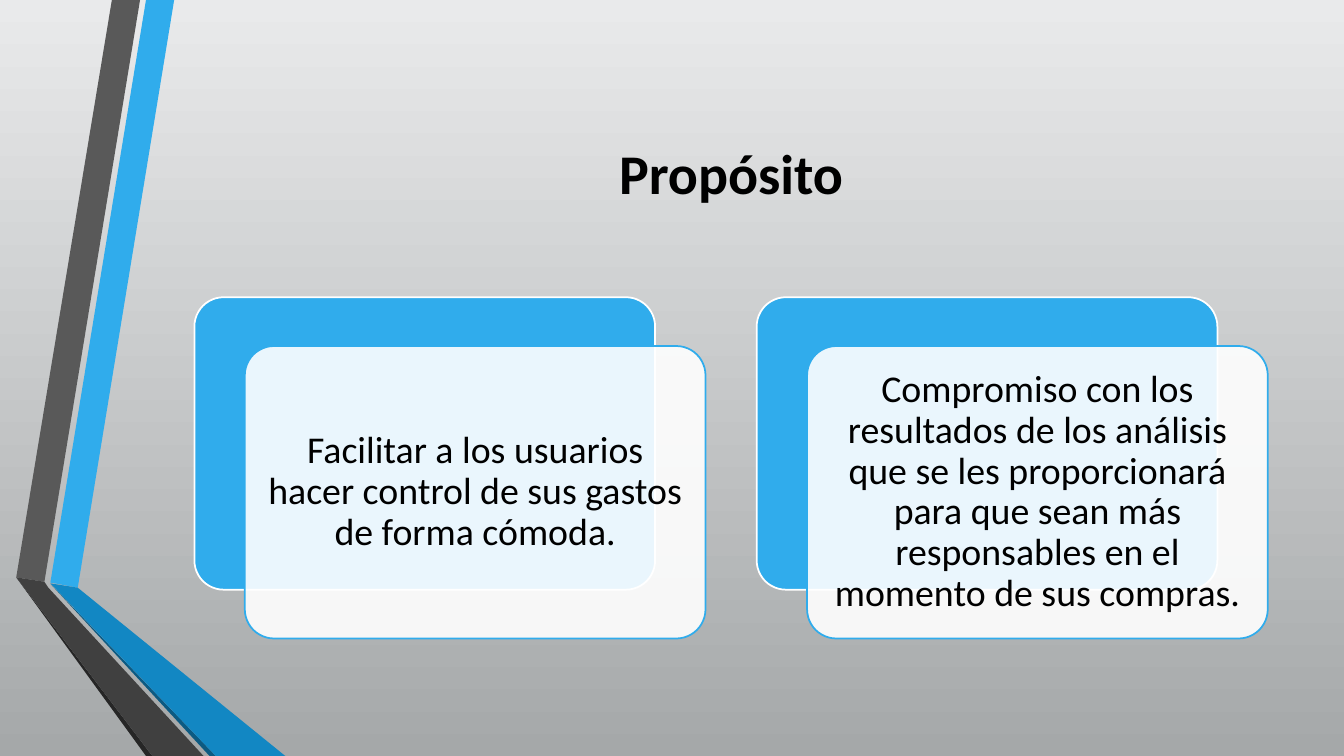
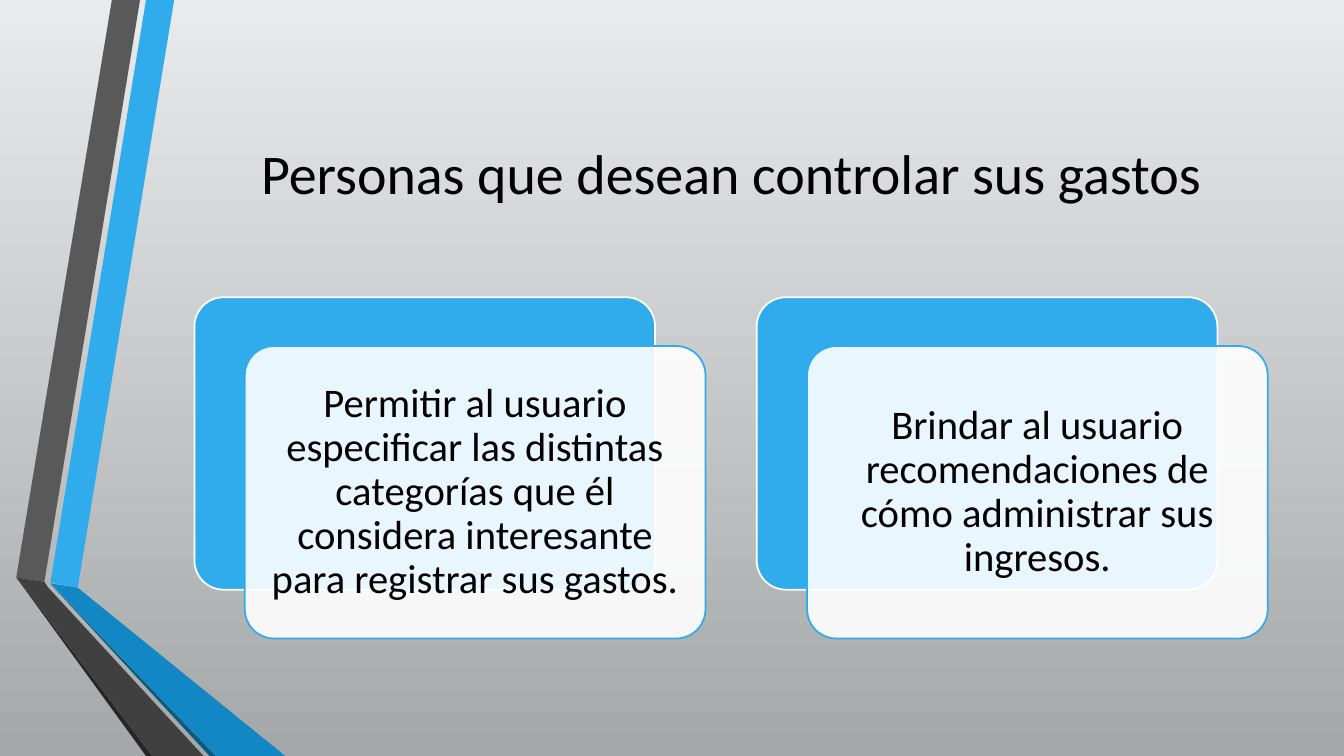
from lxml import etree
from pptx import Presentation
from pptx.dml.color import RGBColor
from pptx.enum.shapes import MSO_SHAPE
from pptx.enum.text import MSO_ANCHOR, PP_ALIGN
from pptx.oxml.ns import qn
from pptx.util import Cm, Pt

ROUNDED = MSO_SHAPE.ROUNDED_RECTANGLE
MIDDLE = MSO_ANCHOR.MIDDLE
CENTER = PP_ALIGN.CENTER

SLIDE_W, SLIDE_H = 33.87, 19.05
FONT = "Calibri"
BLUE, WHITE, BLACK = "30ACEC", "FFFFFF", "000000"
BACKGROUND_STOPS = ("E9EAEB", "A5A8A9")

TITLE_BOX = (4.9, 1.9, 27.05, 4.88)
CARDS_BOX = (4.9, 7.49, 27.05, 8.6)
CARD_W = 12.88
PANEL_SHIFT_X, PANEL_SHIFT_Y = 1.27, 1.23

RIBBONS = [
    (BLUE, [(1.27, 14.68), (1.96, 14.81), (4.39, 0), (3.68, 0)]),
    ("595959", [(3.53, 0), (2.82, 0), (0.41, 14.55), (1.12, 14.66)]),
    ("262626", [(0.41, 14.55), (3.68, SLIDE_H), (3.84, SLIDE_H)]),
    ("0C5A82", [(1.27, 14.71), (5.28, SLIDE_H), (5.44, SLIDE_H)]),
    ("1287C3", [(1.27, 14.7), (5.44, SLIDE_H), (7.19, SLIDE_H), (1.96, 14.81)]),
    ("404040", [(5.13, SLIDE_H), (1.22, 14.81), (1.12, 14.66), (0.41, 14.55),
                (3.84, SLIDE_H)]),
]

SLIDES = [
    {
        "title": "Propósito", "bold": True, "size": 27, "inset": 0.28,
        "cards": [
            "Facilitar a los usuarios hacer control de sus gastos de forma cómoda.",
            "Compromiso con los resultados de los análisis que se les proporcionará "
            "para que sean más responsables en el momento de sus compras.",
        ],
    },
    {
        "title": "Personas que desean controlar sus gastos",
        "bold": False, "size": 29, "inset": 0.3,
        "cards": [
            "Permitir al usuario especificar las distintas categorías que él "
            "considera interesante para registrar sus gastos.",
            "Brindar al usuario recomendaciones de cómo administrar sus ingresos.",
        ],
    },
]


def rgb(value):
    """Turn a hex string into a colour."""
    return RGBColor.from_string(value)


def apply(target, values):
    """Set each attribute in values on target."""
    for name, value in values.items():
        setattr(target, name, value)


def paint(shape, fill, line=None, opacity=100):
    """Fill and outline a shape, without a shadow."""
    shape.shadow.inherit = False
    shape.fill.solid()
    shape.fill.fore_color.rgb = rgb(fill)
    if opacity < 100:
        color = shape.fill._xPr.find(qn("a:solidFill"))[0]
        etree.SubElement(color, qn("a:alpha"), val=str(opacity * 1000))
    if line:
        shape.line.color.rgb = rgb(line)
        shape.line.width = Pt(1.25)
    else:
        shape.line.fill.background()


def write(shape, text, size, bold=False, spacing=1.0, inset=0.25):
    """Write one centred paragraph into a shape."""
    margin = Cm(inset)
    frame = shape.text_frame
    apply(frame, {
        "text": text, "word_wrap": True, "vertical_anchor": MIDDLE,
        "margin_left": margin, "margin_right": margin,
        "margin_top": margin, "margin_bottom": margin,
    })
    paragraph = frame.paragraphs[0]
    apply(paragraph, {"alignment": CENTER, "line_spacing": spacing})
    font = paragraph.runs[0].font
    apply(font, {"name": FONT, "size": Pt(size), "bold": bold})
    font.color.rgb = rgb(BLACK)


def set_background(master):
    """Give the master its vertical grey gradient."""
    fill = master.background.fill
    fill.gradient()
    fill.gradient_angle = 270
    for stop, (position, color) in zip(fill.gradient_stops, enumerate(BACKGROUND_STOPS)):
        stop.position = position
        stop.color.rgb = rgb(color)


def add_ribbons(slide, left, top):
    """Draw the folded ribbons from the given corner."""
    for color, outline in RIBBONS:
        points = [(Cm(left + x), Cm(top + y)) for x, y in outline]
        builder = slide.shapes.build_freeform(*points[0])
        builder.add_line_segments(points[1:], close=True)
        paint(builder.convert_to_shape(), color)


def add_title(slide, box, text, bold):
    """Place the slide title in its box."""
    write(slide.shapes.add_textbox(*map(Cm, box)), text, 40, bold)


def add_card(slide, box, text, size, inset):
    """Place a blue plate with a translucent text panel shifted over it."""
    left, top, width, height = box
    plate_size = (width - PANEL_SHIFT_X, height - PANEL_SHIFT_Y)
    layers = [
        (left, top, BLUE, WHITE, 100),
        (left + PANEL_SHIFT_X, top + PANEL_SHIFT_Y, WHITE, BLUE, 90),
    ]
    for x, y, fill, line, opacity in layers:
        panel = slide.shapes.add_shape(ROUNDED, *map(Cm, (x, y, *plate_size)))
        panel.adjustments[0] = 0.1
        paint(panel, fill, line, opacity)
    write(panel, text, size, spacing=0.9, inset=inset)


def add_cards(slide, box, texts, size, inset):
    """Spread the cards evenly from edge to edge of the box."""
    left, top, width, height = box
    pitch = (width - CARD_W) / (len(texts) - 1)
    for index, text in enumerate(texts):
        add_card(slide, (left + index * pitch, top, CARD_W, height), text, size, inset)


def add_cards_slide(prs, content):
    """Build one slide with a title and a row of cards."""
    slide = prs.slides.add_slide(prs.slide_layouts[6])
    add_ribbons(slide, 0, 0)
    add_title(slide, TITLE_BOX, content["title"], content["bold"])
    add_cards(slide, CARDS_BOX, content["cards"], content["size"], content["inset"])


def main():
    """Build and save the presentation."""
    prs = Presentation()
    apply(prs, {"slide_width": Cm(SLIDE_W), "slide_height": Cm(SLIDE_H)})
    set_background(prs.slide_master)
    for content in SLIDES:
        add_cards_slide(prs, content)
    prs.save("out.pptx")


if __name__ == "__main__":
    main()
